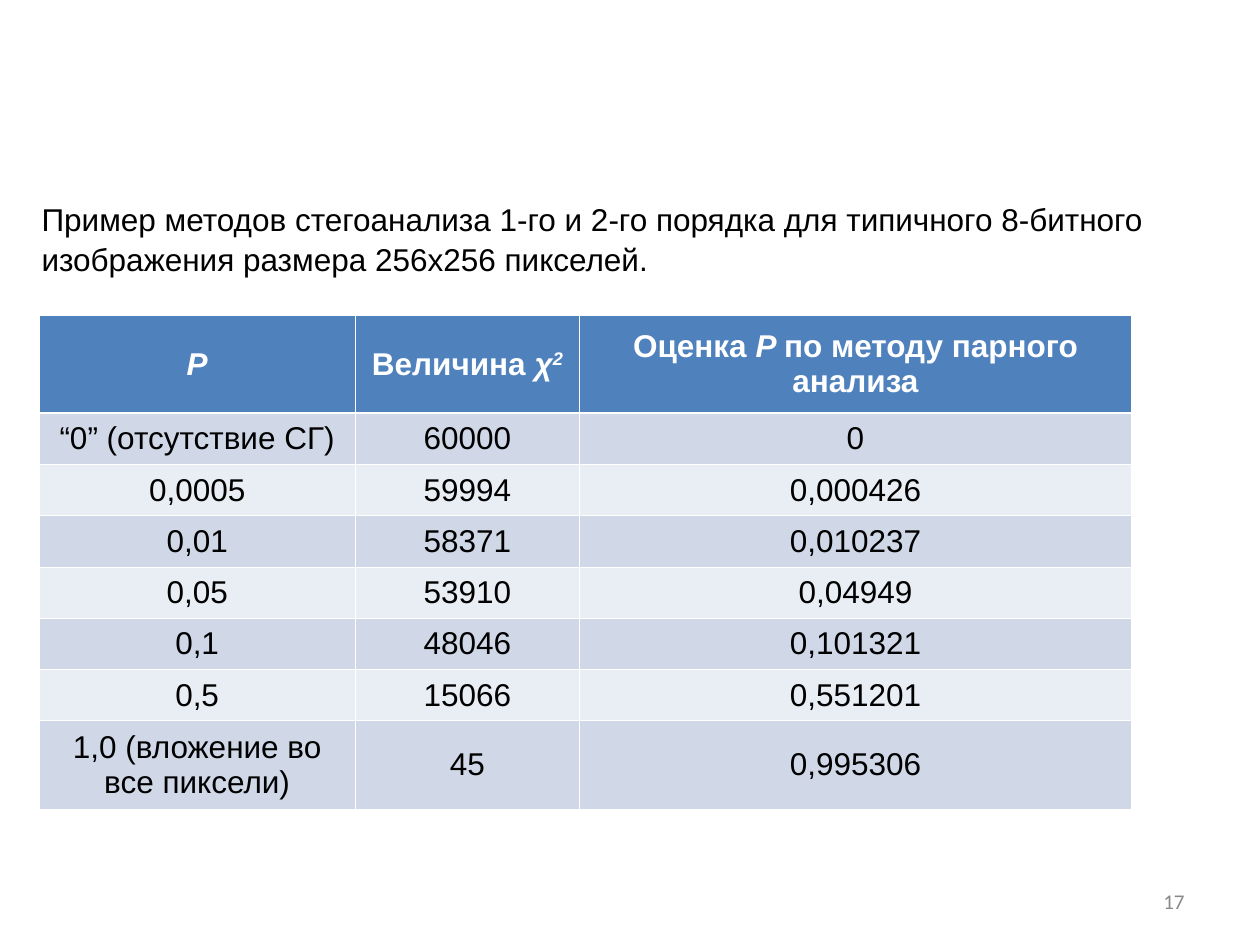
import pptx
import pptx.dml.color
import pptx.enum.text
import pptx.oxml
import pptx.oxml.ns
import pptx.util

Inches = pptx.util.Inches
ALIGN = pptx.enum.text.PP_ALIGN
MIDDLE = pptx.enum.text.MSO_ANCHOR.MIDDLE


def color(hex_string):
    return pptx.dml.color.RGBColor.from_string(hex_string)


def add_run(paragraph, text, hex_color, size=18, font="Arial", bold=False, italic=False):
    run = paragraph.add_run()
    run.text = text
    run.font.name = font
    run.font.size = pptx.util.Pt(size)
    run.font.bold = bold
    run.font.italic = italic
    run.font.color.rgb = color(hex_color)
    return run


presentation = pptx.Presentation()
presentation.slide_width = Inches(10)
presentation.slide_height = Inches(7.5)
slide = presentation.slides.add_slide(presentation.slide_layouts[5])

# Title: a full-height frame whose text starts just above the table
title = slide.shapes.title
title.left, title.top = Inches(0.23), Inches(0.3)
title.width, title.height = Inches(9.53), Inches(7.04)
frame = title.text_frame
frame.word_wrap = True
frame.auto_size = pptx.enum.text.MSO_AUTO_SIZE.NONE
frame.vertical_anchor = pptx.enum.text.MSO_ANCHOR.TOP
frame.margin_top = Inches(1.27)
paragraph = frame.paragraphs[0]
paragraph.alignment = ALIGN.LEFT
paragraph.line_spacing = 1.06
add_run(paragraph, "Пример методов стегоанализа 1-го и 2-го порядка для типичного "
        "8-битного изображения размера 256х256 пикселей.", "000000")

# Table contents: each header cell is a list of (text, italic, superscript)
header = [
    [("P", True, False)],
    [("Величина ", False, False), ("χ", True, False), ("2", True, True)],
    [("Оценка ", False, False), ("P ", True, False),
     ("по методу парного анализа", False, False)],
]
body = [
    ("“0” (отсутствие СГ)", "60000", "0"),
    ("0,0005", "59994", "0,000426"),
    ("0,01", "58371", "0,010237"),
    ("0,05", "53910", "0,04949"),
    ("0,1", "48046", "0,101321"),
    ("0,5", "15066", "0,551201"),
    ("1,0 (вложение во все пиксели)", "45", "0,995306"),
]
rows = [header] + [[[(text, False, False)] for text in row] for row in body]
column_widths = [2.51, 1.78, 4.38]
row_heights = [0.78] + [0.407] * 6 + [0.7]

# Table
table = slide.shapes.add_table(
    len(rows), len(column_widths), Inches(0.31), Inches(2.5),
    Inches(sum(column_widths)), Inches(sum(row_heights))).table
for column, width in zip(table.columns, column_widths):
    column.width = Inches(width)
for row, height in zip(table.rows, row_heights):
    row.height = Inches(height)

for row_index, row in enumerate(rows):
    is_header = row_index == 0
    fill = "4F81BD" if is_header else ("E9EDF4", "D0D8E8")[row_index % 2]
    for column_index, runs in enumerate(row):
        cell = table.cell(row_index, column_index)
        cell.vertical_anchor = MIDDLE
        paragraph = cell.text_frame.paragraphs[0]
        paragraph.alignment = ALIGN.CENTER
        for text, italic, superscript in runs:
            run = add_run(paragraph, text, "FFFFFF" if is_header else "000000",
                          bold=is_header, italic=italic)
            if superscript:
                run._r.get_or_add_rPr().set("baseline", "30000")

        # White borders, thicker under the header; they precede the fill in XML
        thick_side = {0: "lnB", 1: "lnT"}.get(row_index)
        properties = cell._tc.get_or_add_tcPr()
        for side in ("lnL", "lnR", "lnT", "lnB"):
            width = pptx.util.Pt(1.47 if side == thick_side else 0.45)
            properties.append(pptx.oxml.parse_xml(
                f'<a:{side} {pptx.oxml.ns.nsdecls("a")} w="{width}"><a:solidFill>'
                f'<a:srgbClr val="FFFFFF"/></a:solidFill></a:{side}>'))
        cell.fill.solid()
        cell.fill.fore_color.rgb = color(fill)

# Slide number
number_box = slide.shapes.add_textbox(Inches(7.17), Inches(6.95), Inches(2.33), Inches(0.4))
number_box.text_frame.word_wrap = True
number_box.text_frame.vertical_anchor = MIDDLE
paragraph = number_box.text_frame.paragraphs[0]
paragraph.alignment = ALIGN.RIGHT
add_run(paragraph, "17", "898989", size=12, font="Calibri")

presentation.save("out.pptx")
